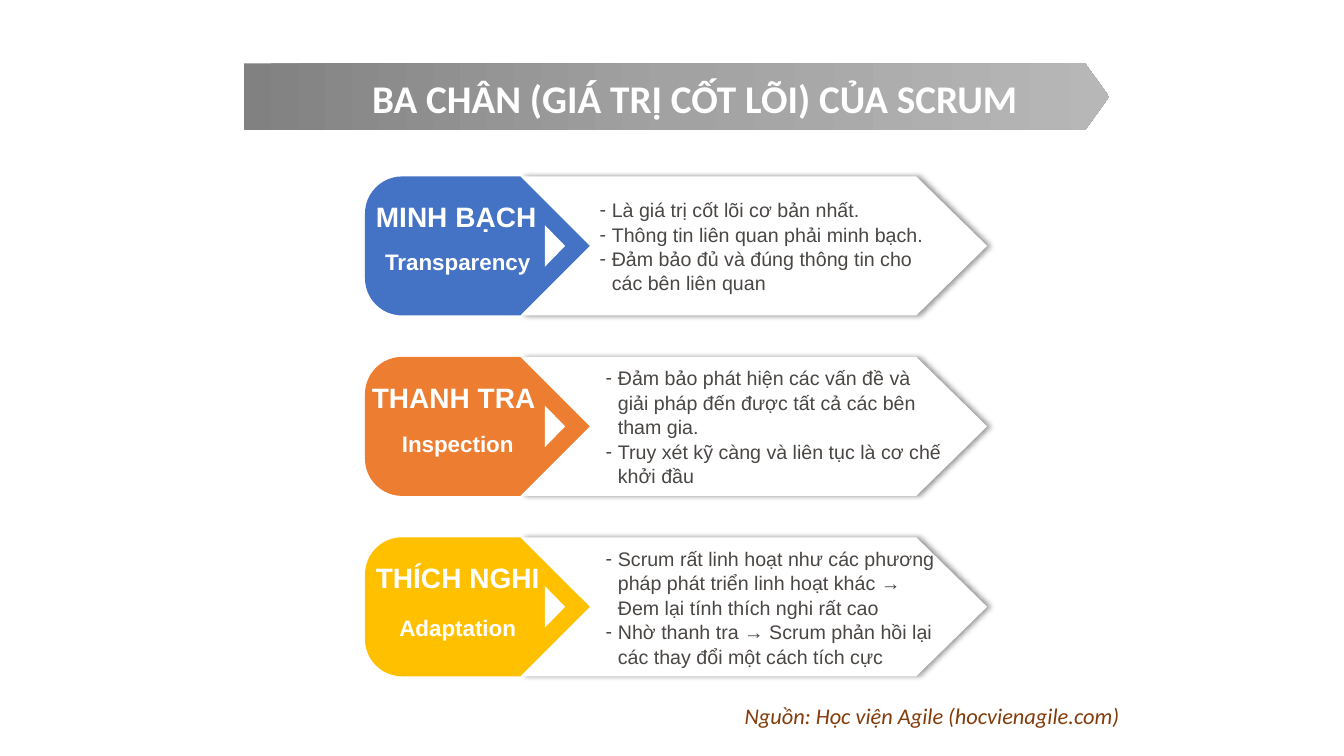
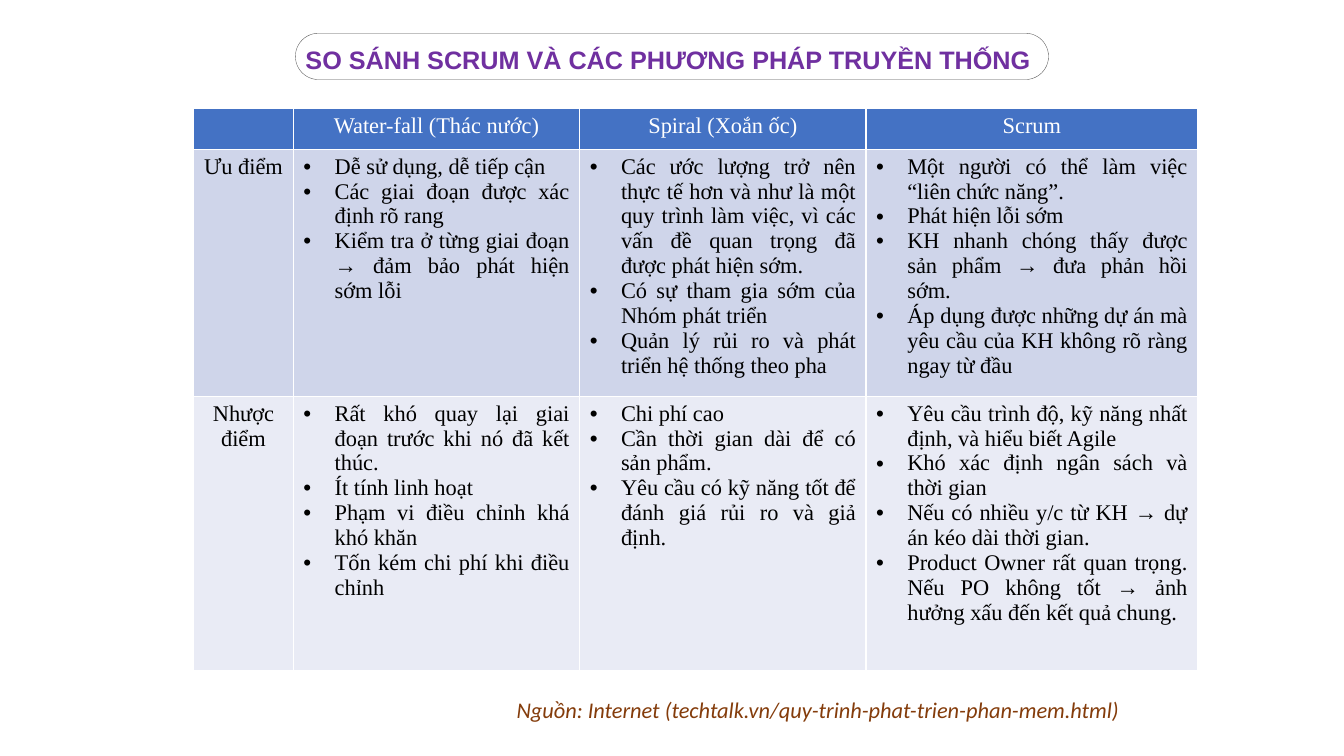
import math
from dataclasses import dataclass

from lxml import etree
from pptx import Presentation
from pptx import util as u
from pptx.dml.color import RGBColor
from pptx.enum import shapes, text
from pptx.oxml.ns import qn

PX = 9144  # EMU per px, 100 px to the inch


@dataclass(frozen=True)
class Theme:
    white: str = "FFFFFF"
    black: str = "000000"
    body: str = "4A4644"
    source: str = "843C0B"
    purple: str = "7030A0"
    outline: str = "525252"
    blue: str = "4472C4"
    orange: str = "ED7D31"
    gold: str = "FFC000"
    table_rows: tuple = ("CFD5EA", "E9EBF5")
    band: tuple = ((0, "818181"), (50, "A2A2A2"), (100, "B7B7B7"))
    sans: str = "Arial"
    label: str = "Calibri"
    serif: str = "Times New Roman"
    title_size: int = 28
    heading_size: int = 20
    subtitle_size: int = 18
    text_size: int = 16
    body_size: int = 14


THEME = Theme()
ALIGN = text.PP_ALIGN
ANCHOR = text.MSO_ANCHOR
PRESET = shapes.MSO_SHAPE

PILLARS_TITLE = "BA CHÂN (GIÁ TRỊ CỐT LÕI) CỦA SCRUM"
PILLARS_SOURCE = "Nguồn: Học viện Agile (hocvienagile.com)"
PILLARS = [
    dict(heading="MINH BẠCH", subtitle="Transparency", color=THEME.blue,
         heading_left=363, subtitle_offset=66, body_left=585,
         points=["Là giá trị cốt lõi cơ bản nhất.",
                 "Thông tin liên quan phải minh bạch.",
                 "Đảm bảo đủ và đúng thông tin cho các bên liên quan"]),
    dict(heading="THANH TRA", subtitle="Inspection", color=THEME.orange,
         heading_left=359, subtitle_offset=68, body_left=591,
         points=["Đảm bảo phát hiện các vấn đề và giải pháp đến được tất cả các bên tham gia.",
                 "Truy xét kỹ càng và liên tục là cơ chế khởi đầu"]),
    dict(heading="THÍCH NGHI", subtitle="Adaptation", color=THEME.gold,
         heading_left=363, subtitle_offset=71, body_left=591,
         points=["Scrum rất linh hoạt như các phương pháp phát triển linh hoạt khác → "
                 "Đem lại tính thích nghi rất cao",
                 "Nhờ thanh tra → Scrum phản hồi lại các thay đổi một cách tích cực"]),
]

COMPARISON_TITLE = "SO SÁNH SCRUM VÀ CÁC PHƯƠNG PHÁP TRUYỀN THỐNG"
COMPARISON_SOURCE = "Nguồn: Internet (techtalk.vn/quy-trinh-phat-trien-phan-mem.html)"
COLUMN_WIDTHS = (99, 284, 284, 329)
ROW_HEIGHTS = (40, 245, 272)
COMPARISON = [
    ["", "Water-fall (Thác nước)", "Spiral (Xoắn ốc)", "Scrum"],
    ["Ưu điểm",
     ["Dễ sử dụng, dễ tiếp cận",
      "Các giai đoạn được xác định rõ rang",
      "Kiểm tra ở từng giai đoạn → đảm bảo phát hiện sớm lỗi"],
     ["Các ước lượng trở nên thực tế hơn và như là một quy trình làm việc, "
      "vì các vấn đề quan trọng đã được phát hiện sớm.",
      "Có sự tham gia sớm của Nhóm phát triển",
      "Quản lý rủi ro và phát triển hệ thống theo pha"],
     ["Một người có thể làm việc “liên chức năng”.",
      "Phát hiện lỗi sớm",
      "KH nhanh chóng thấy được sản phẩm → đưa phản hồi sớm.",
      "Áp dụng được những dự án mà yêu cầu của KH không rõ ràng ngay từ đầu"]],
    ["Nhược điểm",
     ["Rất khó quay lại giai đoạn trước khi nó đã kết thúc.",
      "Ít tính linh hoạt",
      "Phạm vi điều chỉnh khá khó khăn",
      "Tốn kém chi phí khi điều chỉnh"],
     ["Chi phí cao",
      "Cần thời gian dài để có sản phẩm.",
      "Yêu cầu có kỹ năng tốt để đánh giá rủi ro và giả định."],
     ["Yêu cầu trình độ, kỹ năng nhất định, và hiểu biết Agile",
      "Khó xác định ngân sách và thời gian",
      "Nếu có nhiều y/c từ KH → dự án kéo dài thời gian.",
      "Product Owner rất quan trọng. Nếu PO không tốt → ảnh hưởng xấu đến kết quả chung."]],
]


def emu(*lengths):
    return [u.Emu(round(length * PX)) for length in lengths]


def rgb(color):
    return RGBColor.from_string(color)


def add_node(parent, tag, **attributes):
    node = etree.SubElement(parent, qn(tag))
    for name, value in attributes.items():
        node.set(name, str(value))
    return node


def write(frame, content, *, size, font, color, bold=False, italic=False,
          align=ALIGN.LEFT, bullet=None, indent=0, spacing=None):
    """Fill a text frame with one string or a list of paragraphs."""
    lines = [content] if isinstance(content, str) else content
    for index, line in enumerate(lines):
        paragraph = frame.add_paragraph() if index else frame.paragraphs[0]
        if bullet:
            properties = paragraph._p.get_or_add_pPr()
            properties.set("marL", str(indent * PX))
            properties.set("indent", str(-indent * PX))
            add_node(properties, "a:buFont", typeface=THEME.sans)
            add_node(properties, "a:buChar", char=bullet)
        paragraph.alignment = align
        if spacing:
            paragraph.line_spacing = spacing
        run = paragraph.add_run()
        run.text = line
        run.font.size = u.Pt(size)
        run.font.name = font
        run.font.bold = bold
        run.font.italic = italic
        run.font.color.rgb = rgb(color)


def set_frame(frame, anchor):
    frame.word_wrap = True
    frame.auto_size = text.MSO_AUTO_SIZE.NONE
    frame.vertical_anchor = anchor


def add_text(slide, box, content, anchor=ANCHOR.MIDDLE, **style):
    frame = slide.shapes.add_textbox(*emu(*box)).text_frame
    set_frame(frame, anchor)
    write(frame, content, **style)


def paint(shape, color, outline=None):
    shape.shadow.inherit = False
    shape.fill.solid()
    shape.fill.fore_color.rgb = rgb(color)
    if outline:
        shape.line.color.rgb = rgb(outline)
        shape.line.width = u.Pt(0.25)
    else:
        shape.line.fill.background()
    return shape


def add_preset(slide, preset, box, color, outline=None, adjustment=None):
    shape = slide.shapes.add_shape(preset, *emu(*box))
    if adjustment is not None:
        shape.adjustments[0] = adjustment
    return paint(shape, color, outline)


def add_titled_slide(presentation, title, box, source, source_top, **style):
    slide = presentation.slides.add_slide(presentation.slide_layouts[5])
    holder = slide.shapes.title
    holder.left, holder.top, holder.width, holder.height = emu(*box)
    set_frame(holder.text_frame, ANCHOR.TOP)
    write(holder.text_frame, title, bold=True, **style)
    add_text(slide, (420, source_top, 700, 37), source, ANCHOR.TOP, size=THEME.text_size,
             font=THEME.label, color=THEME.source, italic=True, align=ALIGN.RIGHT)
    return slide


def place_behind_title(slide, shape):
    slide.shapes.title.element.addprevious(shape.element)


def add_band_gradient(shape, stops):
    shape.fill.gradient()
    shape.fill.gradient_angle = 0
    stop_list = shape.element.find(".//" + qn("a:gsLst"))
    for stop in list(stop_list):
        stop_list.remove(stop)
    for percent, color in stops:
        stop = add_node(stop_list, "a:gs", pos=percent * 1000)
        add_node(stop, "a:srgbClr", val=color)


def add_right_shadow(shape):
    effects = shape.element.spPr.find(qn("a:effectLst"))
    shadow = add_node(effects, "a:outerShdw", blurRad=u.Pt(4), dist=u.Pt(3), dir=0,
                      algn="l", rotWithShape=0)
    color = add_node(shadow, "a:srgbClr", val=THEME.black)
    add_node(color, "a:alpha", val=40000)


def add_tag(slide, left, top, width, height, color, radius=37, steps=12):
    """Draw a tag with rounded left corners and a right-hand point."""
    middle = height / 2
    points = [(left + width - middle, top), (left + width, top + middle),
              (left + width - middle, top + height)]
    for center_y, start in ((top + height - radius, 90), (top + radius, 180)):
        for step in range(steps + 1):
            angle = math.radians(start + 90 * step / steps)
            points.append((left + radius + radius * math.cos(angle),
                           center_y + radius * math.sin(angle)))
    points = [tuple(emu(*point)) for point in points]
    builder = slide.shapes.build_freeform(*points[0])
    builder.add_line_segments(points[1:], close=True)
    paint(builder.convert_to_shape(), color)


def add_pillar(slide, pillar, top, height=138):
    banner = add_preset(slide, PRESET.PENTAGON, (517, top, 462, height), THEME.white,
                        adjustment=0.51)
    add_right_shadow(banner)
    add_tag(slide, 362, top, 223, height, pillar["color"])
    arrow = add_preset(slide, PRESET.ISOSCELES_TRIANGLE, (530, top + 59, 41, 20), THEME.white)
    arrow.rotation = 90
    label = dict(font=THEME.sans, color=THEME.white, bold=True)
    add_text(slide, (pillar["heading_left"], top + 18, 210, 44), pillar["heading"],
             size=THEME.heading_size, **label)
    add_text(slide, (354, top + pillar["subtitle_offset"], 200, 37), pillar["subtitle"],
             size=THEME.text_size, align=ALIGN.CENTER, **label)
    left = pillar["body_left"]
    add_text(slide, (left, top, 945 - left, height), pillar["points"], size=THEME.body_size,
             font=THEME.sans, color=THEME.body, bullet="-", indent=12, spacing=1.04)


def build_pillars(presentation):
    slide = add_titled_slide(presentation, PILLARS_TITLE, (359, 69, 730, 57),
                             PILLARS_SOURCE, 692, size=THEME.title_size,
                             font=THEME.label, color=THEME.white)
    band = add_preset(slide, PRESET.PENTAGON, (242, 63, 858, 66), THEME.band[0][1],
                      adjustment=0.36)
    add_band_gradient(band, THEME.band)
    place_behind_title(slide, band)
    for index, pillar in enumerate(PILLARS):
        add_pillar(slide, pillar, 175 + 179 * index)


def set_cell_borders(cell, color):
    properties = cell._tc.get_or_add_tcPr()
    for index, side in enumerate(("a:lnL", "a:lnR", "a:lnT", "a:lnB")):
        line = etree.Element(qn(side), w=str(u.Pt(1)))
        add_node(add_node(line, "a:solidFill"), "a:srgbClr", val=color)
        properties.insert(index, line)


def add_comparison_table(slide):
    box = (192, 108, sum(COLUMN_WIDTHS), sum(ROW_HEIGHTS))
    table = slide.shapes.add_table(len(ROW_HEIGHTS), len(COLUMN_WIDTHS), *emu(*box)).table
    table.first_row = table.horz_banding = False
    for column, width in zip(table.columns, emu(*COLUMN_WIDTHS)):
        column.width = width
    fills = (THEME.blue, *THEME.table_rows)
    for row_index, (row, height) in enumerate(zip(table.rows, emu(*ROW_HEIGHTS))):
        row.height = height
        for cell, content in zip(row.cells, COMPARISON[row_index]):
            cell.fill.solid()
            cell.fill.fore_color.rgb = rgb(fills[row_index])
            set_cell_borders(cell, THEME.white)
            if isinstance(content, list):
                layout = dict(align=ALIGN.JUSTIFY, bullet="•", indent=31)
            else:
                layout = dict(align=ALIGN.CENTER)
            write(cell.text_frame, content, size=THEME.text_size, font=THEME.serif,
                  color=THEME.black if row_index else THEME.white, **layout)


def build_comparison(presentation):
    slide = add_titled_slide(presentation, COMPARISON_TITLE, (293, 39, 747, 40),
                             COMPARISON_SOURCE, 686, size=THEME.subtitle_size,
                             font=THEME.sans, color=THEME.purple)
    frame = add_preset(slide, PRESET.ROUNDED_RECTANGLE, (293, 33, 747, 46), THEME.white,
                       outline=THEME.outline, adjustment=0.5)
    place_behind_title(slide, frame)
    add_comparison_table(slide)


def main():
    presentation = Presentation()
    presentation.slide_width, presentation.slide_height = emu(1333, 750)
    build_pillars(presentation)
    build_comparison(presentation)
    presentation.save("out.pptx")


if __name__ == "__main__":
    main()
